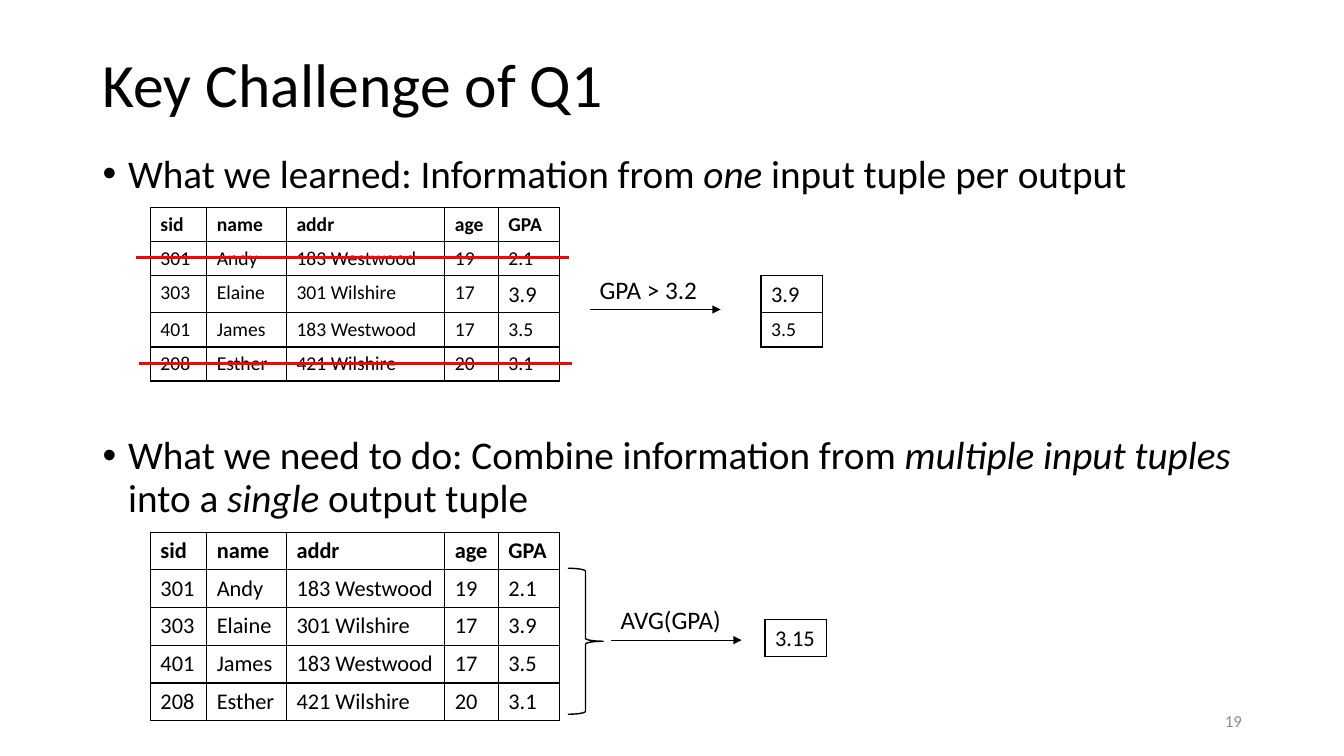
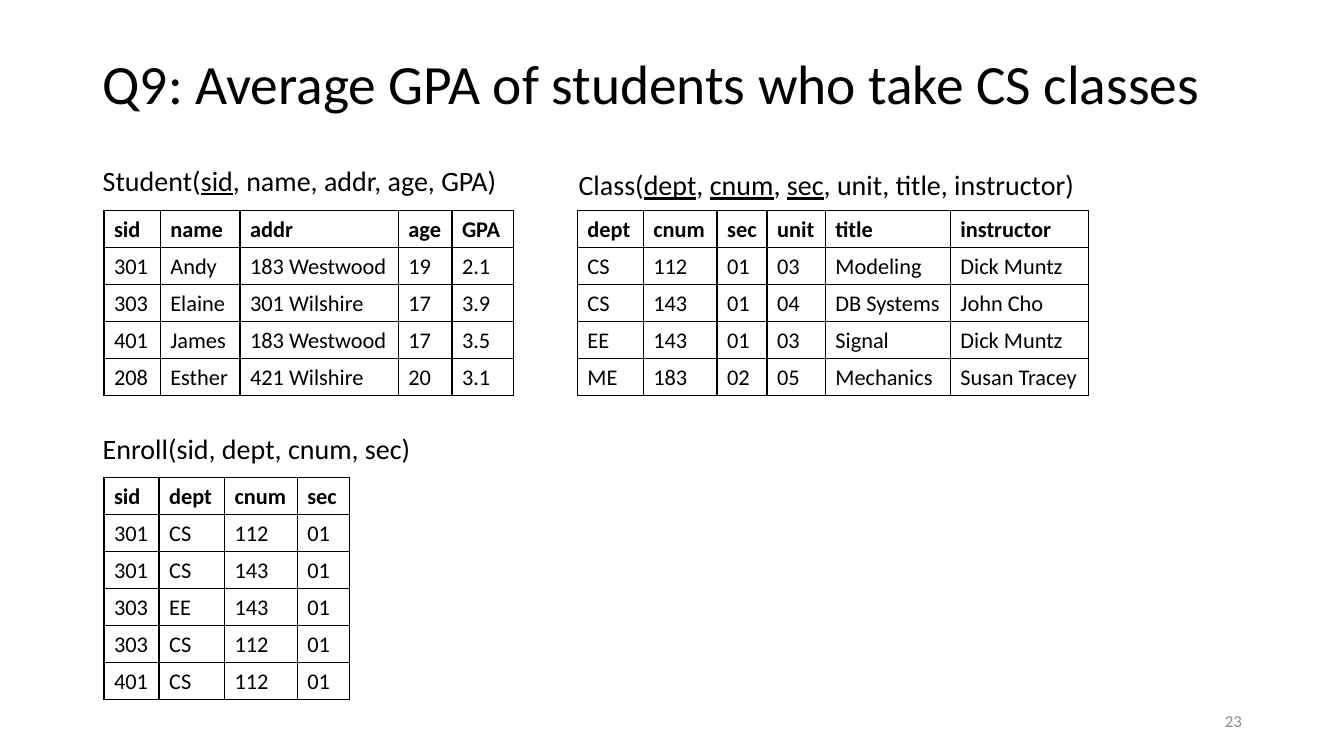
from dataclasses import dataclass

from lxml import etree
from pptx import Presentation
from pptx.dml.color import RGBColor
from pptx.enum import shapes, text
from pptx.oxml import parse_xml
from pptx.oxml.ns import qn
from pptx.util import Cm, Pt


@dataclass(frozen=True)
class Theme:
    font: str = "Calibri"
    ink: RGBColor = RGBColor(0, 0, 0)
    strike: RGBColor = RGBColor(0xFF, 0, 0)
    muted: RGBColor = RGBColor(0x8C, 0x8C, 0x8C)
    title: float = 44
    title_long: float = 39.6
    body: float = 28
    schema: float = 20
    label: float = 18
    cell: float = 16
    cell_small: float = 14
    number: float = 12
    thin: float = 0.5
    line: float = 1
    thick: float = 2.25


T = Theme()
NS = 'xmlns:a="http://schemas.openxmlformats.org/drawingml/2006/main"'


def add_text(s, x, y, w, h, paras, size, color=T.ink, emphasis="italic", spacing=1.0):
    """Add a text box; parts of a paragraph between asterisks are emphasised."""
    tf = s.shapes.add_textbox(Cm(x), Cm(y), Cm(w), Cm(h)).text_frame
    tf.word_wrap = True
    for i, para in enumerate(paras):
        p = tf.add_paragraph() if i else tf.paragraphs[0]
        p.line_spacing = spacing
        p.font.name, p.font.size, p.font.color.rgb = T.font, Pt(size), color
        for j, part in enumerate(para.split("*")):
            r = p.add_run()
            r.text = part
            if j % 2:
                setattr(r.font, emphasis, True)
    return tf


def add_grid(s, x, y, widths, rows, size=T.cell, row_h=0.93, header=True):
    """Add a plain table; only cells with text are framed."""
    frame = s.shapes.add_table(len(rows), len(widths), Cm(x), Cm(y),
                               Cm(sum(widths)), Cm(row_h * len(rows)))
    tbl = frame.table
    tbl.first_row = tbl.horz_banding = False
    for col, w in zip(tbl.columns, widths):
        col.width = Cm(w)
    blank = ("",) * len(widths)
    for i, (above, row, below) in enumerate(
            zip([blank, *rows], rows, [*rows[1:], blank])):
        tbl.rows[i].height = Cm(row_h)
        for j, value in enumerate(row):
            cell = tbl.cell(i, j)
            if value:
                cell.text = value
            else:
                cell.margin_top = cell.margin_bottom = 0
            font = cell.text_frame.paragraphs[0].font
            font.name, font.size, font.color.rgb = T.font, Pt(size), T.ink
            font.bold = header and i == 0
            framed = {"L": value, "R": value,
                      "T": value or above[j], "B": value or below[j]}
            for side, shown in framed.items():
                fill = (f'<a:solidFill><a:srgbClr val="{T.ink}"/></a:solidFill>'
                        if shown else "<a:noFill/>")
                cell._tc.get_or_add_tcPr().append(parse_xml(
                    f'<a:ln{side} {NS} w="{Pt(T.line)}">{fill}</a:ln{side}>'))
            cell.fill.background()
    return tbl


# Data
STUDENT = [
    ("sid", "name", "addr", "age", "GPA"),
    ("301", "Andy", "183 Westwood", "19", "2.1"),
    ("303", "Elaine", "301 Wilshire", "17", "3.9"),
    ("401", "James", "183 Westwood", "17", "3.5"),
    ("208", "Esther", "421 Wilshire", "20", "3.1"),
]
CLASS = [
    ("dept", "cnum", "sec", "unit", "title", "instructor"),
    ("CS", "112", "01", "03", "Modeling", "Dick Muntz"),
    ("CS", "143", "01", "04", "DB Systems", "John Cho"),
    ("EE", "143", "01", "03", "Signal", "Dick Muntz"),
    ("ME", "183", "02", "05", "Mechanics", "Susan Tracey"),
]
ENROLL = [
    ("sid", "dept", "cnum", "sec"),
    ("301", "CS", "112", "01"),
    ("301", "CS", "143", "01"),
    ("303", "EE", "143", "01"),
    ("303", "CS", "112", "01"),
    ("401", "CS", "112", "01"),
]
KEPT = [("",), ("",), ("3.9",), ("3.5",), ("",)]
STUDENT_W = (1.42, 2.01, 3.99, 1.35, 1.55)
CLASS_W = (1.66, 1.86, 1.26, 1.47, 3.15, 3.48)
ENROLL_W = (1.39, 1.65, 1.83, 1.31)
RESULT_W = (1.55,)
LEFT, WIDTH = 2.34, 29.21

prs = Presentation()
prs.slide_width, prs.slide_height = Cm(33.87), Cm(19.05)

# Slides with title and page number
slides = []
for title, size, height, number in [
    ("Key Challenge of Q1", T.title, 2.36, "19"),
    ("Q9: Average GPA of students who take CS classes", T.title_long, 2.31, "23"),
]:
    s = prs.slides.add_slide(prs.slide_layouts[6])
    tf = add_text(s, LEFT, 1.02, WIDTH, height, [title], size, spacing=0.9)
    tf.vertical_anchor = text.MSO_ANCHOR.MIDDLE
    tf = add_text(s, 23.93, 17.65, 7.62, 1.02, [number], T.number, T.muted)
    tf.vertical_anchor = text.MSO_ANCHOR.MIDDLE
    tf.paragraphs[0].alignment = text.PP_ALIGN.RIGHT
    slides.append(s)
challenge, average = slides

# Challenge: bullets, the second one below the first example
tf = add_text(challenge, LEFT, 3.76, WIDTH, 13.89, [
    "What we learned: Information from *one* input tuple per output",
    "What we need to do: Combine information from *multiple input tuples*"
    " into a *single* output tuple",
], T.body, spacing=0.9)
for p in tf.paragraphs:
    pPr = p._p.get_or_add_pPr()
    pPr.set("marL", str(Cm(0.64)))
    pPr.set("indent", str(-Cm(0.64)))
    defaults = pPr.find(qn("a:defRPr"))
    defaults.addprevious(parse_xml(f'<a:buFont {NS} typeface="Arial"/>'))
    defaults.addprevious(parse_xml(f'<a:buChar {NS} char="•"/>'))
tf.paragraphs[1].space_before = Pt(171)

# Challenge: input and result tables
filtered = add_grid(challenge, 3.79, 5.23, STUDENT_W, STUDENT, T.cell_small, 0.86)
kept = add_grid(challenge, 19.18, 5.23, RESULT_W, KEPT, T.cell_small, 0.86, header=False)
for tbl, col in [(filtered, 4), (kept, 0)]:
    tbl.rows[2].height = Cm(0.93)
    tbl.cell(2, col).text_frame.paragraphs[0].font.size = Pt(T.cell)
add_grid(challenge, 3.79, 13.41, STUDENT_W, STUDENT, row_h=0.95)
add_grid(challenge, 19.28, 15.62, RESULT_W, [("3.15",)], header=False)

# Challenge: brace over the combined rows
sp = challenge.shapes.add_shape(shapes.MSO_SHAPE.RIGHT_BRACE,
                                Cm(14.31), Cm(14.32), Cm(0.89), Cm(3.68))
sp.shadow.inherit = False
sp.fill.background()
sp.line.color.rgb, sp.line.width = T.ink, Pt(T.line)

# Challenge: labelled arrows and strikes through the dropped rows
for x, y, length, color, weight, label in [
    (14.86, 7.8, 3.3, T.ink, T.thin, "GPA > 3.2"),
    (15.39, 16.13, 3.3, T.ink, T.thin, "AVG(GPA)"),
    (3.43, 6.49, 10.9, T.strike, T.thick, None),
    (3.51, 9.17, 10.9, T.strike, T.thick, None),
]:
    line = challenge.shapes.add_connector(shapes.MSO_CONNECTOR.STRAIGHT,
                                          Cm(x), Cm(y), Cm(x + length), Cm(y))
    line.line.color.rgb, line.line.width = color, Pt(weight)
    etree.SubElement(line._element.spPr, qn("a:effectLst"))
    if label:
        etree.SubElement(line.line._get_or_add_ln(), qn("a:tailEnd"), type="triangle")
        add_text(challenge, x, y - 1.02, length, 1.02, [label], T.label)

# Average: schemas with their tables
for x, y, w, schema, table_x, table_y, widths, rows in [
    (LEFT, 3.99, 10.8, "Student(*sid*, name, addr, age, GPA)",
     2.62, 5.31, STUDENT_W, STUDENT),
    (14.33, 4.1, 15.27, "Class(*dept*, *cnum*, *sec*, unit, title, instructor)",
     14.55, 5.31, CLASS_W, CLASS),
    (LEFT, 10.74, 10.8, "Enroll(sid, dept, cnum, sec)",
     2.62, 12.04, ENROLL_W, ENROLL),
]:
    add_text(average, x, y, w, 1.09, [schema], T.schema, emphasis="underline")
    add_grid(average, table_x, table_y, widths, rows)

prs.save("out.pptx")
